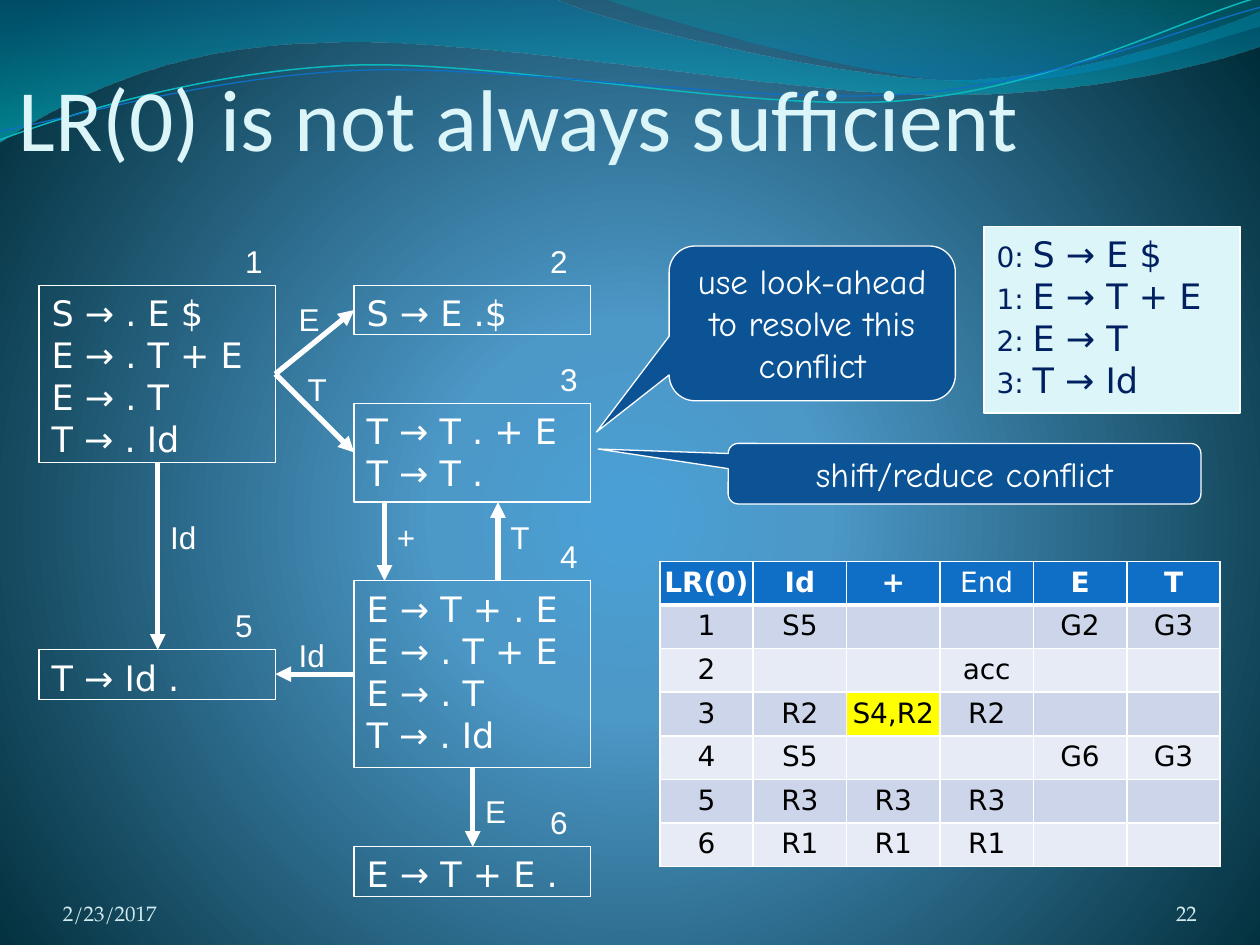
from collections import namedtuple
from dataclasses import dataclass

from lxml import etree
from pptx import Presentation
from pptx.dml.color import RGBColor
from pptx.enum.shapes import MSO_CONNECTOR, MSO_SHAPE
from pptx.enum.text import MSO_ANCHOR, PP_ALIGN
from pptx.oxml.ns import qn
from pptx.util import Cm, Pt

STRAIGHT = MSO_CONNECTOR.STRAIGHT
RECTANGLE, CALLOUT = MSO_SHAPE.RECTANGLE, MSO_SHAPE.ROUNDED_RECTANGULAR_CALLOUT
TOP, MIDDLE, BOTTOM = MSO_ANCHOR.TOP, MSO_ANCHOR.MIDDLE, MSO_ANCHOR.BOTTOM
LEFT, CENTER, RIGHT = PP_ALIGN.LEFT, PP_ALIGN.CENTER, PP_ALIGN.RIGHT

Box = namedtuple("Box", "left top width height")
Style = namedtuple("Style", "font size color")


@dataclass(frozen=True)
class Theme:
    white: str = "FFFFFF"
    pale: str = "DBF5F9"
    callout: str = "0B5395"
    header: str = "0F6FC6"
    bands: tuple = ("CCD5EA", "E7EBF5")
    conflict: str = "FFFF00"
    backdrop: tuple = ((0, "4AA0D6", 100), (25, "4C98C7", 100), (100, "002C38", 100))
    title: Style = Style("Calibri", 50, "DBF5F9")
    footer: Style = Style("TeX Gyre Pagella", 12, "D1EAEE")
    item: Style = Style("DejaVu Sans", 20, "FFFFFF")
    rule: Style = Style("DejaVu Sans", 20, "002060")
    rule_number: Style = Style("DejaVu Sans", 16, "002060")
    edge: Style = Style("Arial", 18, "FFFFFF")
    comment: Style = Style("Comic Neue", 20, "FFFFFF")
    head_cell: Style = Style("DejaVu Sans", 16, "FFFFFF")
    cell: Style = Style("DejaVu Sans", 16, "000000")


THEME = Theme()
FLUSH = dict(margin_left=0, margin_right=0, margin_top=0, margin_bottom=0)
LINE_HEIGHT = 1.02


def apply(target, formats):
    for name, value in formats.items():
        setattr(target, name, value)


def within(box, left, top, width, height):
    return Box(box.left + left, box.top + top, width, height)


def emu(values):
    return [Cm(value) for value in values]


def write(paragraph, text, style, bold=False):
    run = paragraph.add_run()
    run.text = text
    apply(run.font, dict(name=style.font, size=Pt(style.size), bold=bold))
    run.font.color.rgb = RGBColor.from_string(style.color)


def fill_frame(frame, lines, align=LEFT, hanging=0, **formats):
    apply(frame, dict(word_wrap=True, vertical_anchor=TOP) | formats)
    for index, pieces in enumerate(lines):
        paragraph = frame.add_paragraph() if index else frame.paragraphs[0]
        paragraph.alignment = align
        if hanging:
            properties = paragraph._p.get_or_add_pPr()
            properties.set("marL", str(Cm(hanging)))
            properties.set("indent", str(-Cm(hanging)))
        for text, style in pieces:
            write(paragraph, text, style)


def add_text(slide, box, text, style, **formats):
    frame = slide.shapes.add_textbox(*emu(box)).text_frame
    fill_frame(frame, [[(text, style)]], **formats)


def add_panel(slide, box, lines, kind=RECTANGLE, fill=None, **formats):
    panel = slide.shapes.add_shape(kind, *emu(box))
    panel.shadow.inherit = False
    if fill:
        panel.fill.solid()
        panel.fill.fore_color.rgb = RGBColor.from_string(fill)
    else:
        panel.fill.background()
    draw_line(panel.line, THEME.white, 0.75)
    fill_frame(panel.text_frame, lines, **formats)
    return panel


def draw_line(line, color, width):
    line.color.rgb = RGBColor.from_string(color)
    line.width = Pt(width)


def set_gradient(owner, stops, shade, **direction):
    gradient = etree.Element(qn("a:gradFill"), rotWithShape="1")
    stop_list = etree.SubElement(gradient, qn("a:gsLst"))
    for position, color, alpha in stops:
        stop = etree.SubElement(stop_list, qn("a:gs"), pos=str(position * 1000))
        tint = etree.SubElement(stop, qn("a:srgbClr"), val=color)
        if alpha < 100:
            etree.SubElement(tint, qn("a:alpha"), val=str(alpha * 1000))
    shading = etree.SubElement(gradient, qn("a:" + shade), **direction)
    if shade == "path":
        etree.SubElement(shading, qn("a:fillToRect"), l="10000", t="110000", r="10000", b="100000")
    owner.replace(owner.find(qn("a:noFill")), gradient)


def add_curve(slide, box, start, segments, closed):
    points = [(Cm(box.left + x), Cm(box.top + y)) for x, y in [start, *sum(segments, [])]]
    builder = slide.shapes.build_freeform(*points[0])
    builder.add_line_segments(points[1:], close=closed)
    curve = builder.convert_to_shape()
    steps = iter(curve._element.findall(".//" + qn("a:lnTo")))
    for segment in segments:
        parts = [next(steps) for _ in segment]
        if len(parts) == 3:
            bend = etree.Element(qn("a:cubicBezTo"))
            parts[0].addprevious(bend)
            for part in parts:
                bend.append(part[0])
                part.getparent().remove(part)
    curve.shadow.inherit = False
    curve.fill.background()
    return curve


def add_backdrop(slide, box):
    slide.background.fill.background()
    set_gradient(slide._element.find(".//" + qn("p:bgPr")), THEME.backdrop, "path", path="circle")
    waves = [
        (((0, "0074A1", 45), (100, "00C6CF", 55)), (0, -0.03),
         [[(11.18, -0.03)], [(12.09, 0.43), (16.87, 1.6), (19.25, 1.6)],
          [(21.67, 1.6), (24.33, 0.66), (25.4, 0.23)], [(25.43, 0.91)],
          [(24.97, 1.12), (22.1, 1.93), (18.95, 1.91)], [(15.8, 1.91), (9.7, 0.71), (6.53, 0.86)],
          [(3.28, 0.89), (1.17, 2.11), (-0.03, 2.87)]]),
        (((0, "00A1A9", 30), (80, "008BBF", 45)), (12.17, -0.03),
         [[(12.93, 0.28), (17.32, 1.57), (19.53, 1.65)],
          [(21.74, 1.75), (24.41, 0.81), (25.4, 0.53)], [(25.4, 0)]]),
    ]
    for stops, start, segments in waves:
        wave = add_curve(slide, box, start, segments, True)
        wave.line.fill.background()
        set_gradient(wave._element.spPr, stops, "lin", ang="5400000", scaled="1")
    ripples = [
        ("0AB8BF", 0.85, (-0.05, 2.22),
         [[(1.19, 1.82), (4.01, 1.04), (7.05, 1.05)], [(10.05, 1.07), (15.02, 2.37), (18.08, 2.29)],
          [(21.13, 2.2), (23.86, 0.91), (25.41, 0.55)]]),
        ("0F6FC6", 0.75, (-0.04, 2.04),
         [[(1.16, 1.9), (4.17, 1.15), (7.2, 1.16)], [(10.25, 1.18), (15.13, 2.23), (18.19, 2.16)],
          [(21.22, 2.1), (23.93, 1.06), (25.45, 0.75)]]),
    ]
    for color, width, start, segments in ripples:
        ripple = add_curve(slide, box, start, segments, False)
        ripple.rotation = 357.3
        draw_line(ripple.line, color, width)


def add_footer(slide, box):
    for text, left, width, align in (("2/23/2017", 0, 5.92, LEFT), ("22", box.width - 2.11, 2.11, RIGHT)):
        add_text(slide, within(box, left, 0, width, box.height), text, THEME.footer,
                 align=align, vertical_anchor=BOTTOM, **FLUSH)


def add_grammar(slide, box):
    rules = ["S → E $", "E → T + E", "E → T", "T → Id"]
    lines = [[(f"{number}: ", THEME.rule_number), (rule, THEME.rule)] for number, rule in enumerate(rules)]
    add_panel(slide, box, lines, fill=THEME.pale, hanging=0.76)


def add_automaton(slide, box):
    state_width = 4.76
    right = box.width - state_width
    states = [
        (0, 1, 3.58, 3.9, ["S → . E $", "E → . T + E", "E → . T", "T → . Id"]),
        (right, 1, 1, 3.7, ["S → E .$"]),
        (right, 3.39, 1.98, 3.9, ["T → T . + E", "T → T ."]),
        (right, 6.96, 3.76, 3.9, ["E → T + . E", "E → . T + E", "E → . T", "T → . Id"]),
        (0, 8.35, 1, 3.7, ["T → Id ."]),
        (right, 12.32, 1, 3.7, ["E → T + E ."]),
    ]
    for number, (left, top, height, shift, items) in enumerate(states, 1):
        add_panel(slide, within(box, left, top, state_width, height),
                  [[(item, THEME.item)] for item in items], hanging=0.76)
        add_text(slide, within(box, left + shift, top - 1, 0.86, LINE_HEIGHT), str(number), THEME.edge)
    transitions = [
        ("E", (state_width, 2.79), (right, 1.5), (4.98, 1.17)),
        ("T", (state_width, 2.79), (right, 4.37), (5.16, 2.59)),
        ("+", (6.96, 5.37), (6.96, 6.96), (6.96, 5.56)),
        ("T", (9.25, 6.96), (9.25, 5.37), (9.25, 5.56)),
        ("Id", (2.39, 4.58), (2.39, 8.35), (2.39, 5.56)),
        ("Id", (right, 8.84), (state_width, 8.84), (4.98, 7.95)),
        ("E", (8.74, 10.72), (8.74, 12.32), (8.74, 11.1)),
    ]
    for symbol, start, end, place in transitions:
        ends = [Cm(origin + offset) for point in (start, end) for origin, offset in zip(box, point)]
        arrow = slide.shapes.add_connector(STRAIGHT, *ends)
        draw_line(arrow.line, THEME.white, 3)
        etree.SubElement(arrow.line._get_or_add_ln(), qn("a:tailEnd"), type="triangle")
        etree.SubElement(arrow._element.spPr, qn("a:effectLst"))
        width = 1.04 if symbol == "Id" else 0.93
        add_text(slide, within(box, *place, width, LINE_HEIGHT), symbol, THEME.edge, word_wrap=False)


def add_comment(slide, box, text, adjustments):
    callout = add_panel(slide, box, [[(text, THEME.comment)]], kind=CALLOUT, fill=THEME.callout, align=CENTER)
    for index, value in enumerate(adjustments):
        callout.adjustments[index] = value


def add_borders(cell, bottom):
    properties = cell._tc.get_or_add_tcPr()
    for index, (side, width) in enumerate((("lnL", 1), ("lnR", 1), ("lnT", 1), ("lnB", bottom))):
        border = etree.Element(qn("a:" + side), w=str(Pt(width)))
        paint = etree.SubElement(border, qn("a:solidFill"))
        etree.SubElement(paint, qn("a:srgbClr"), val=THEME.white)
        properties.insert(index, border)


def add_parse_table(slide, box):
    grid = ["LR(0) Id + End E T", "1 S5 - - G2 G3", "2 - - acc - -", "3 R2 S4,R2 R2 - -",
            "4 S5 - - G6 G3", "5 R3 R3 R3 - -", "6 R1 R1 R1 - -"]
    rows = [line.replace("-", "").split(" ") for line in grid]
    table = slide.shapes.add_table(len(rows), len(rows[0]), *emu(box)).table
    for row, values in enumerate(rows):
        for column, value in enumerate(values):
            cell = table.cell(row, column)
            apply(cell, FLUSH | dict(margin_top=Cm(0.1), margin_bottom=Cm(0.1)))
            fill = THEME.bands[(row - 1) % 2] if row else THEME.header
            cell.fill.solid()
            cell.fill.fore_color.rgb = RGBColor.from_string(THEME.conflict if "," in value else fill)
            add_borders(cell, 1 if row else 3)
            paragraph = cell.text_frame.paragraphs[0]
            paragraph.alignment = CENTER
            if value:
                write(paragraph, value, THEME.cell if row else THEME.head_cell, row == 0 and value != "End")
            else:
                etree.SubElement(paragraph._p, qn("a:endParaRPr"), sz=str(THEME.cell.size * 100))


def main():
    deck = Presentation()
    apply(deck, dict(slide_width=Cm(25.4), slide_height=Cm(19.05)))
    slide = deck.slides.add_slide(deck.slide_layouts[6])
    add_backdrop(slide, Box(0, 0, 25.4, 19.05))
    add_text(slide, Box(0.38, 0.69, 23.06, 3.18), "LR(0) is not always sufficient", THEME.title,
             vertical_anchor=MIDDLE, **FLUSH | dict(margin_top=Cm(0.13)))
    add_footer(slide, Box(1.27, 17.65, 22.86, 1.02))
    add_grammar(slide, Box(19.84, 4.57, 5.16, 3.76))
    add_automaton(slide, Box(0.79, 4.75, 11.11, 13.32))
    add_parse_table(slide, Box(13.3, 11.32, 11.3, 6.15))
    add_comment(slide, Box(14.68, 8.94, 9.53, 1.22), "shift/reduce conflict", (-0.775, -0.407, 0.167))
    add_comment(slide, Box(13.49, 4.96, 5.77, 3.12), "use look-ahead to resolve this conflict",
                (-0.754, 0.702, 0.167))
    deck.save("out.pptx")


if __name__ == "__main__":
    main()
